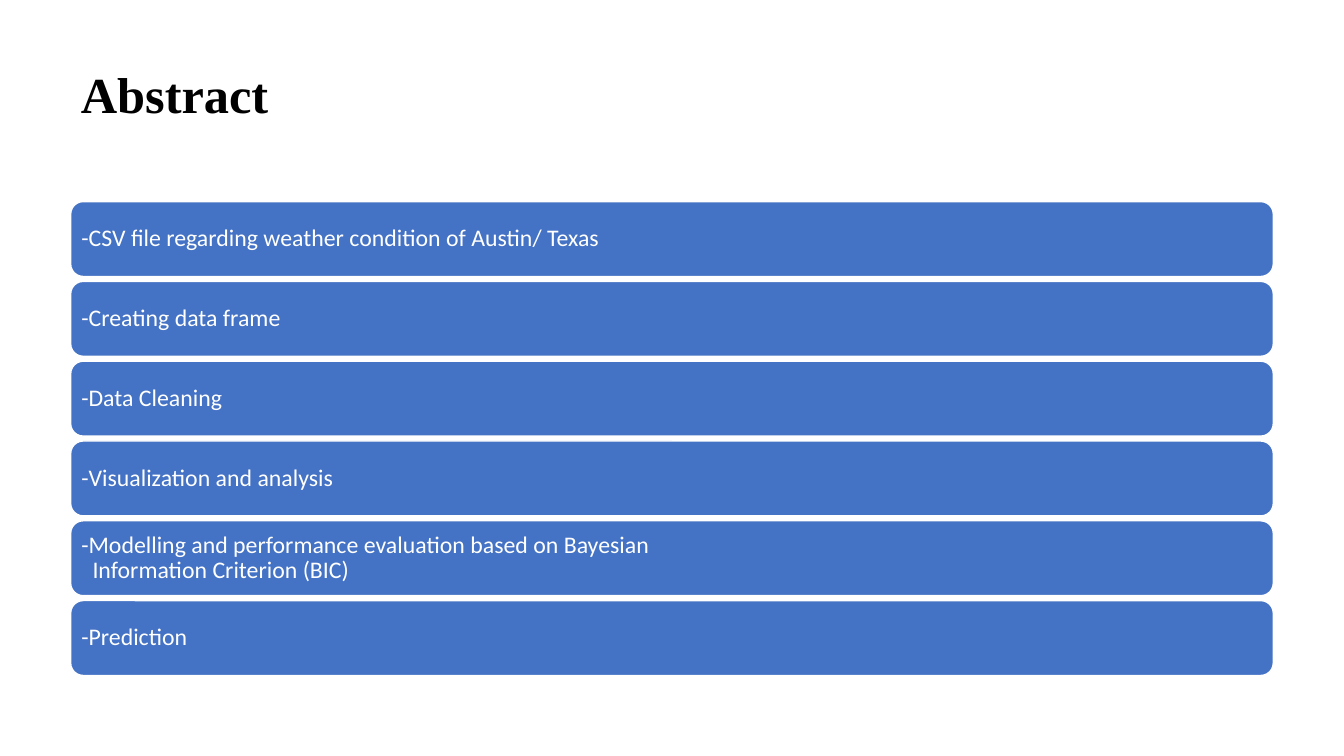
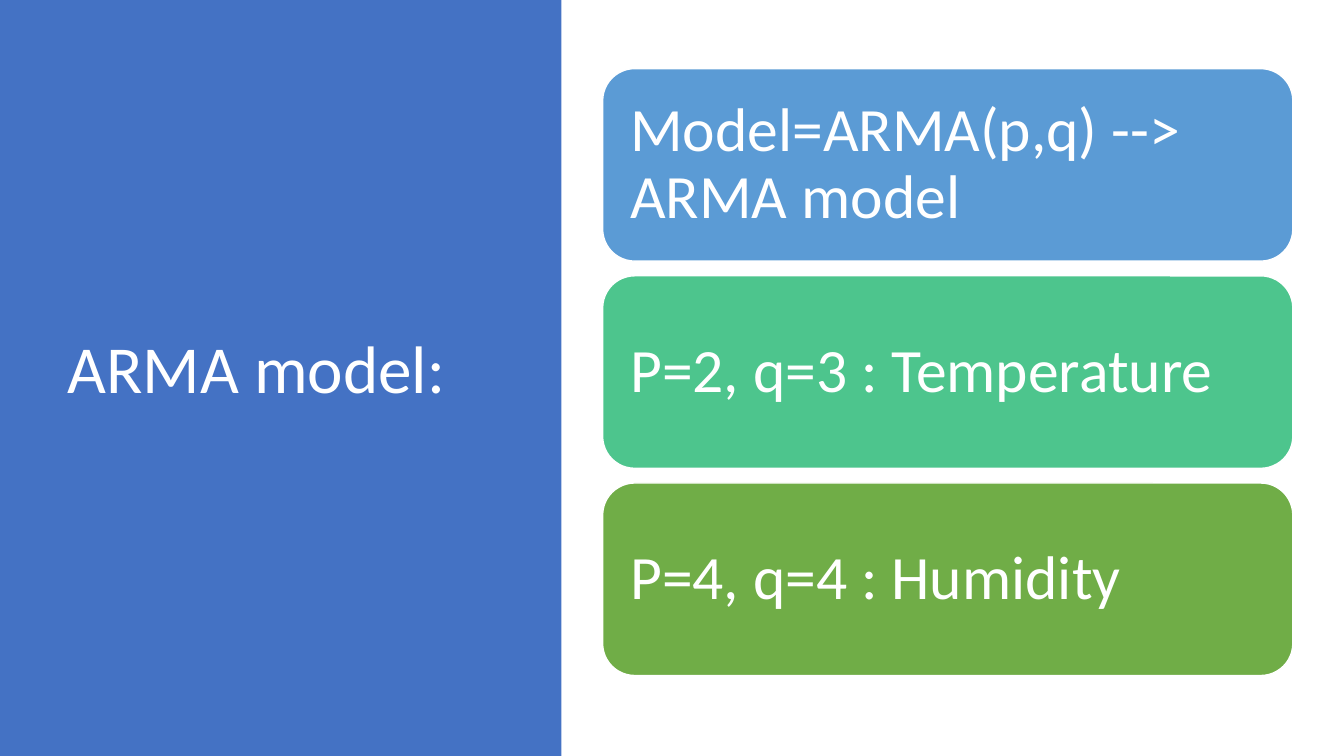
from pptx import Presentation
from pptx.dml.color import RGBColor
from pptx.enum.shapes import MSO_SHAPE
from pptx.enum.text import MSO_ANCHOR, MSO_AUTO_SIZE, PP_ALIGN
from pptx.util import Pt

PX = 6350  # EMU per px, 144 px to the inch
WIDTH, HEIGHT = 1920, 1080

RECT, ROUND = MSO_SHAPE.RECTANGLE, MSO_SHAPE.ROUNDED_RECTANGLE
MIDDLE, LEFT, NO_FIT = MSO_ANCHOR.MIDDLE, PP_ALIGN.LEFT, MSO_AUTO_SIZE.NONE

BLACK = RGBColor(0x00, 0x00, 0x00)
WHITE = RGBColor(0xFF, 0xFF, 0xFF)
BLUE = RGBColor(0x44, 0x72, 0xC4)
SKY = RGBColor(0x5B, 0x9B, 0xD5)
MINT = RGBColor(0x4D, 0xC5, 0x8D)
GREEN = RGBColor(0x70, 0xAD, 0x47)

SANS, SERIF = "Calibri", "Times New Roman"

STEPS = [
    "-CSV file regarding weather condition of Austin/ Texas",
    "-Creating data frame",
    "-Data Cleaning",
    "-Visualization and analysis",
    "-Modelling and performance evaluation based on Bayesian\vInformation Criterion (BIC)",
    "-Prediction",
]
MODELS = [
    ("Model=ARMA(p,q) --> ARMA model", SKY),
    ("P=2, q=3 : Temperature", MINT),
    ("P=4, q=4 : Humidity", GREEN),
]


class Deck:
    def __init__(self):
        self.prs = Presentation()
        self.prs.slide_width, self.prs.slide_height = WIDTH * PX, HEIGHT * PX
        self.slide = None

    def add(self):
        self.slide = self.prs.slides.add_slide(self.prs.slide_layouts[5])

    def label(self, shape, text, size, color, font=SANS, bold=False):
        """Set left-aligned, vertically centred text in one style."""
        frame = shape.text_frame
        frame.text = text
        frame.word_wrap = True
        frame.auto_size = NO_FIT
        frame.vertical_anchor = MIDDLE
        para = frame.paragraphs[0]
        para.alignment = LEFT
        para.line_spacing = 0.9
        for run in para.runs:
            run.font.name, run.font.size = font, Pt(size)
            run.font.bold, run.font.color.rgb = bold, color

    def title(self, text, box, size, color, **style):
        """Fill the title placeholder and bring it to the front."""
        shape = self.slide.shapes.title
        shape.left, shape.top, shape.width, shape.height = (n * PX for n in box)
        self.label(shape, text, size, color, **style)
        shape.element.getparent().append(shape.element)

    def block(self, kind, box, fill):
        shape = self.slide.shapes.add_shape(kind, *(n * PX for n in box))
        shape.shadow.inherit = False
        shape.fill.solid()
        shape.fill.fore_color.rgb = fill
        shape.line.fill.background()
        return shape

    def stack(self, items, box, pitch, size, inset, hang=0):
        """Stack rounded bars downwards, starting at box."""
        left, top, width, height = box
        for i, (text, fill) in enumerate(items):
            bar = self.block(ROUND, (left, top + i * pitch, width, height), fill)
            bar.line.color.rgb = WHITE
            bar.line.width = Pt(1)
            self.label(bar, text, size, WHITE)
            frame = bar.text_frame
            frame.margin_left = frame.margin_right = inset * PX
            frame.margin_top = frame.margin_bottom = inset * PX
            if hang:
                props = frame.paragraphs[0]._p.get_or_add_pPr()
                props.set("marL", str(hang * PX))
                props.set("indent", str(-hang * PX))


def main():
    deck = Deck()

    deck.add()
    deck.title("Abstract", (101, 50, 1718, 179), 36, BLACK, font=SERIF, bold=True)
    deck.stack([(step, BLUE) for step in STEPS], (101, 288, 1718, 107),
               pitch=114, size=17, inset=10, hang=16)

    deck.add()
    deck.block(RECT, (0, 0, 802, HEIGHT), BLUE)
    deck.title("ARMA model:", (82, 98, 599, 867), 48, WHITE)
    deck.stack(MODELS, (861, 98, 986, 275), pitch=296, size=44, inset=26)

    deck.prs.save("out.pptx")


if __name__ == "__main__":
    main()
